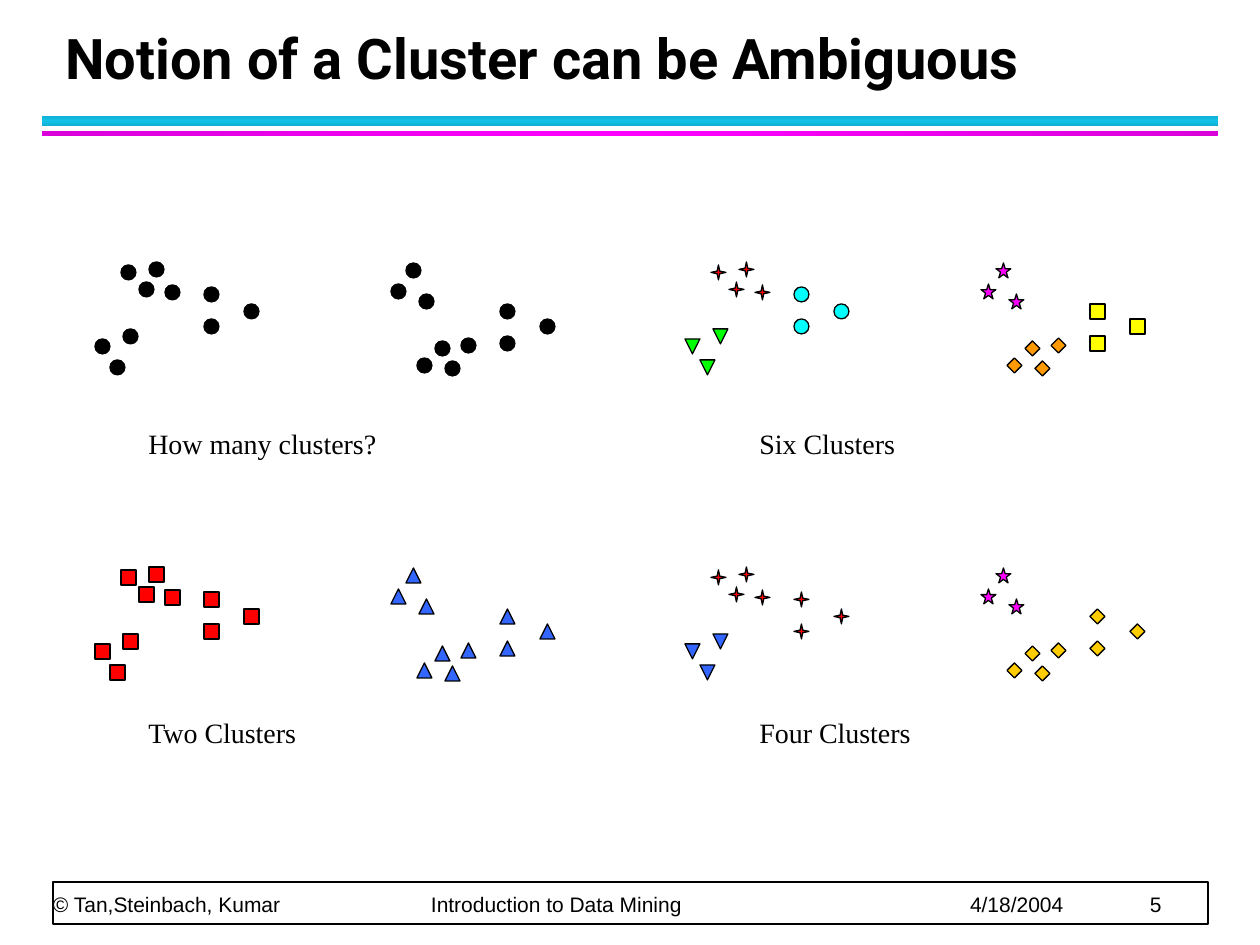
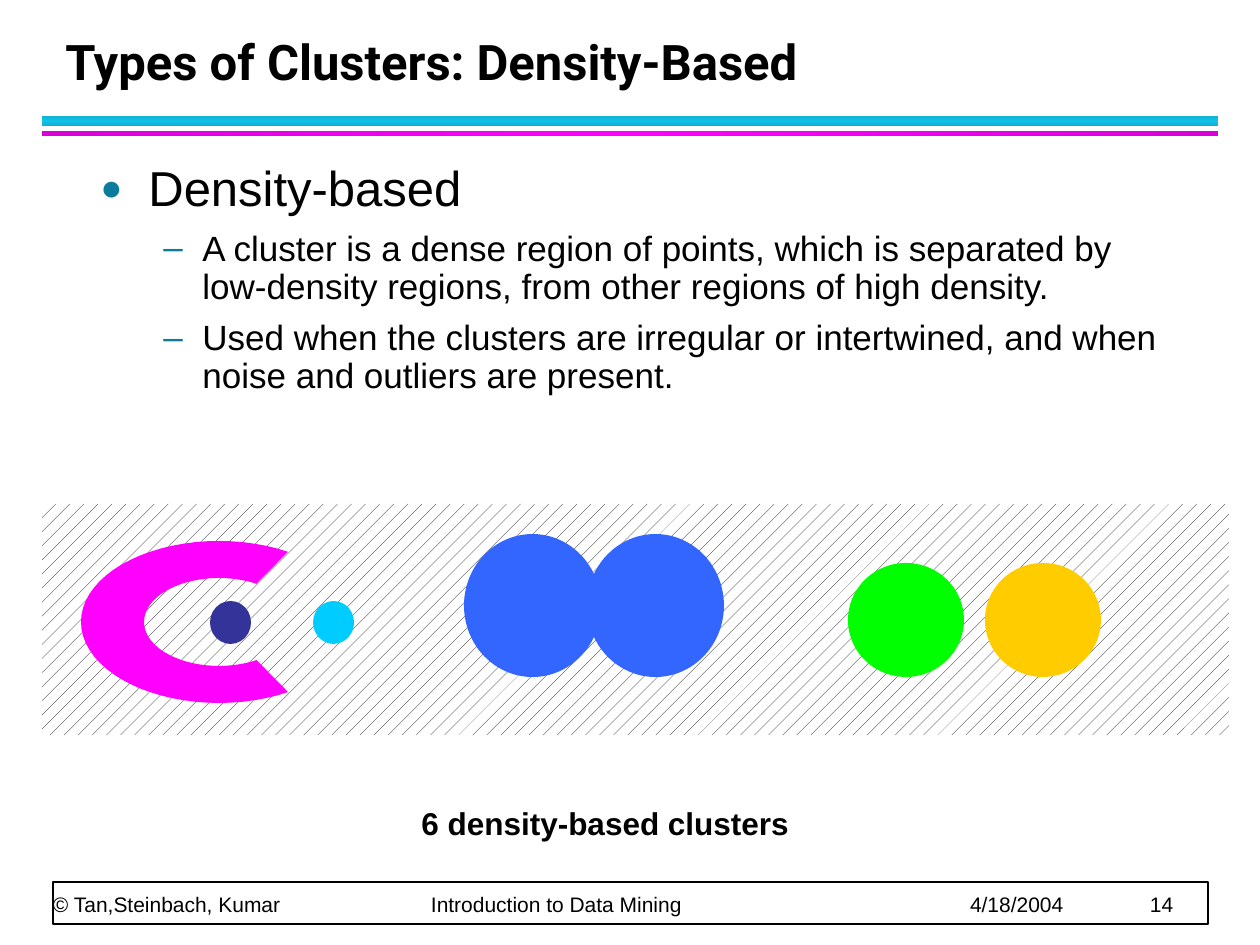
import math
from lxml import etree
from pptx import Presentation
from pptx import util as u
from pptx.dml.color import RGBColor
from pptx.enum import dml, shapes, text

PX = 914400 / 126  # EMU in one px
NS = "http://schemas.openxmlformats.org/drawingml/2006/main"
S = shapes.MSO_SHAPE


class Theme:
    black, white = "000000", "FFFFFF"
    red, blue, pink, lime = "FF0000", "3366FF", "FF00FF", "00FF00"
    aqua, yellow, orange, gold = "00FFFF", "FFFF00", "FF9900", "FFCC00"
    navy, sky, teal = "333399", "00CCFF", "0C7B9C"
    bands = [((42, 116, 1176, 10), "10B0D3", "12C2E9", 90),
             ((42, 131, 1176, 5), "DA00DA", "FF00FF", 0)]
    head = dict(name="Roboto", bold=True)
    foot = dict(name="Arial", size=u.Pt(12))
    label = dict(name="Times New Roman", size=u.Pt(16))
    note = dict(name="Arial", size=u.Pt(18), bold=True)
    body = [dict(name="Arial", size=u.Pt(28)), dict(name="Arial", size=u.Pt(20))]


def draw(page, kind, box, fill=None, edge=None):
    shape = page.shapes.add_shape(kind, *[u.Emu(round(n * PX)) for n in box])
    shape.shadow.inherit = False
    if fill:
        shape.fill.solid()
        shape.fill.fore_color.rgb = RGBColor.from_string(fill)
    if edge:
        shape.line.width = u.Pt(edge)
        shape.line.color.rgb = RGBColor.from_string(Theme.black)
    else:
        shape.line.fill.background()
    return shape


def write(page, box, lines, **frame):
    """Add a text box; lines holds (words, font format) pairs."""
    area = page.shapes.add_textbox(*[u.Emu(round(n * PX)) for n in box]).text_frame
    for key, val in dict(word_wrap=True, **frame).items():
        setattr(area, key, val)
    for num, (words, form) in enumerate(lines):
        para = area.add_paragraph() if num else area.paragraphs[0]
        run = para.add_run()
        run.text = words
        run.font.color.rgb = RGBColor.from_string(Theme.black)
        for key, val in form.items():
            setattr(run.font, key, val)
    return area.paragraphs


deck = Presentation()
deck.slide_width, deck.slide_height = u.Inches(10), u.Inches(7.5)

# Shared frame: bands, footer, title
pages = []
for title, size, num in [("Notion of a Cluster can be Ambiguous", 32, 5),
                         ("Types of Clusters: Density-Based", 28, 14)]:
    page = deck.slides.add_slide(deck.slide_layouts[6])
    pages.append(page)
    for box, rim, mid, turn in Theme.bands:
        band = draw(page, S.RECTANGLE, box)
        stops = "".join(f'<a:gs pos="{pos}"><a:srgbClr val="{tint}"/></a:gs>'
                        for pos, tint in [(0, rim), (50000, mid), (100000, rim)])
        band.element.spPr.insert(2, etree.fromstring(
            f'<a:gradFill xmlns:a="{NS}"><a:gsLst>{stops}</a:gsLst>'
            f'<a:lin ang="{turn * 60000}" scaled="0"/></a:gradFill>'))

    draw(page, S.RECTANGLE, (53, 882, 1155, 42), Theme.white, 1)
    words = f"© Tan,Steinbach, Kumar\tIntroduction to Data Mining\t4/18/2004\t{num}"
    para = write(page, (53, 882, 1153, 35), [(words, Theme.foot)],
                 margin_left=0, margin_right=0, margin_top=0, margin_bottom=0,
                 vertical_anchor=text.MSO_ANCHOR.BOTTOM)[0]
    para.line_spacing = u.Pt(20)
    tabs = "".join(f'<a:tab pos="{round(n * PX)}" algn="l"/>' for n in (378, 917, 1097))
    para._p.get_or_add_pPr().append(
        etree.fromstring(f'<a:tabLst xmlns:a="{NS}">{tabs}</a:tabLst>'))

    para = write(page, (53, 21, 1142, 76),
                 [(title, dict(Theme.head, size=u.Pt(size)))],
                 vertical_anchor=text.MSO_ANCHOR.BOTTOM)[0]
    para.line_spacing = u.Pt(36)

# Slide 1: one set of points, marked four ways
first, second = pages
groups = [[(165, 285), (121, 265), (149, 262), (139, 282)],
          [(123, 329), (95, 339), (110, 360)],
          [(204, 287), (244, 304), (204, 319)]]
SHIFT, FLIP = 296, 623  # right half: moved across and turned upside down
dot = (S.OVAL, Theme.black)
box = (S.RECTANGLE, Theme.red)
tri = (S.ISOSCELES_TRIANGLE, Theme.blue)
spark = (S.STAR_4_POINT, Theme.red)
star = (S.STAR_5_POINT, Theme.pink)
gem = (S.DIAMOND, Theme.gold)
panels = [
    ("How many clusters?", 0, 0, [dot] * 3, [dot] * 3),
    ("Six Clusters", 1, 0,
     [spark, (S.ISOSCELES_TRIANGLE, Theme.lime), (S.OVAL, Theme.aqua)],
     [(S.DIAMOND, Theme.orange), star, (S.RECTANGLE, Theme.yellow)]),
    ("Two Clusters", 0, 1, [box] * 3, [tri] * 3),
    ("Four Clusters", 1, 1,
     [spark, (S.FLOWCHART_EXTRACT, Theme.blue), spark], [gem, star, gem]),
]
for name, col, row, left, right in panels:
    for side, marks in enumerate((left, right)):
        for (kind, fill), spots in zip(marks, groups):
            for x, y in spots:
                x += side * SHIFT + col * 590
                y = (FLIP - y if side else y) + row * 305
                mark = draw(first, kind, (x, y, 15, 15), fill, 0.75)
                if kind == S.STAR_4_POINT:
                    mark.adjustments[0] = 0.125
                if not side:
                    mark.element.spPr.xfrm.set("flipV", "1")
    write(first, (136 + col * 611, 420 + row * 289, 315, 47), [(name, Theme.label)])

# Slide 2: bullets
points = [
    (0, "Density-based"),
    (1, "A cluster is a dense region of points, which is separated by "
        "low-density regions, from other regions of high density."),
    (1, "Used when the clusters are irregular or intertwined, and when "
        "noise and outliers are present."),
]
bullets = [(48, 48, 75, "●"), (102, 39, 100, "–")]  # indent, hang, size, sign
paras = write(second, (88, 158, 1103, 704),
              [(words, Theme.body[rank]) for rank, words in points])
for para, (rank, _) in zip(paras, points):
    ind, hang, pct, sign = bullets[rank]
    para.level = rank
    prop = para._p.get_or_add_pPr()
    prop.set("marL", str(round(ind * PX)))
    prop.set("indent", str(round(-hang * PX)))
    prop.extend(etree.fromstring(
        f'<a:pPr xmlns:a="{NS}"><a:lnSpc><a:spcPct val="90000"/></a:lnSpc>'
        '<a:spcBef><a:spcPct val="20000"/></a:spcBef>'
        '<a:spcAft><a:spcPts val="400"/></a:spcAft>'
        f'<a:buClr><a:srgbClr val="{Theme.teal}"/></a:buClr>'
        f'<a:buSzPct val="{pct * 1000}"/><a:buFont typeface="Arial"/>'
        f'<a:buChar char="{sign}"/></a:pPr>'))

# Slide 2: noise field
noise = draw(second, S.RECTANGLE, (42, 504, 1187, 231))
noise.fill.patterned()
noise.fill.pattern = dml.MSO_PATTERN.PERCENT_10
noise.fill.fore_color.rgb = RGBColor.from_string(Theme.black)
noise.fill.back_color.rgb = RGBColor.from_string(Theme.white)

# Slide 2: open ring, outer arc out and inner arc back
turns = range(60, 301, 5)
arcs = [(138, 81, turns), (75, 44, reversed(turns))]
rim = [(10 * (219 + wide * math.cos(math.radians(deg))),
        10 * (622 + tall * math.sin(math.radians(deg))))
       for wide, tall, sweep in arcs for deg in sweep]
pen = second.shapes.build_freeform(*rim[0], scale=PX / 10)
pen.add_line_segments(rim[1:], close=True)
ring = pen.convert_to_shape()
ring.shadow.inherit = False
ring.fill.solid()
ring.fill.fore_color.rgb = RGBColor.from_string(Theme.pink)
ring.line.fill.background()

# Slide 2: round clusters
for spot, fill in [((210, 601, 41, 43), Theme.navy), ((313, 601, 41, 43), Theme.sky),
                   ((848, 563, 116, 114), Theme.lime), ((985, 563, 116, 114), Theme.gold),
                   ((464, 534, 137, 143), Theme.blue), ((587, 534, 137, 143), Theme.blue)]:
    draw(second, S.OVAL, spot, fill)
write(second, (409, 798, 441, 50), [("6 density-based clusters", Theme.note)])

deck.save("out.pptx")
